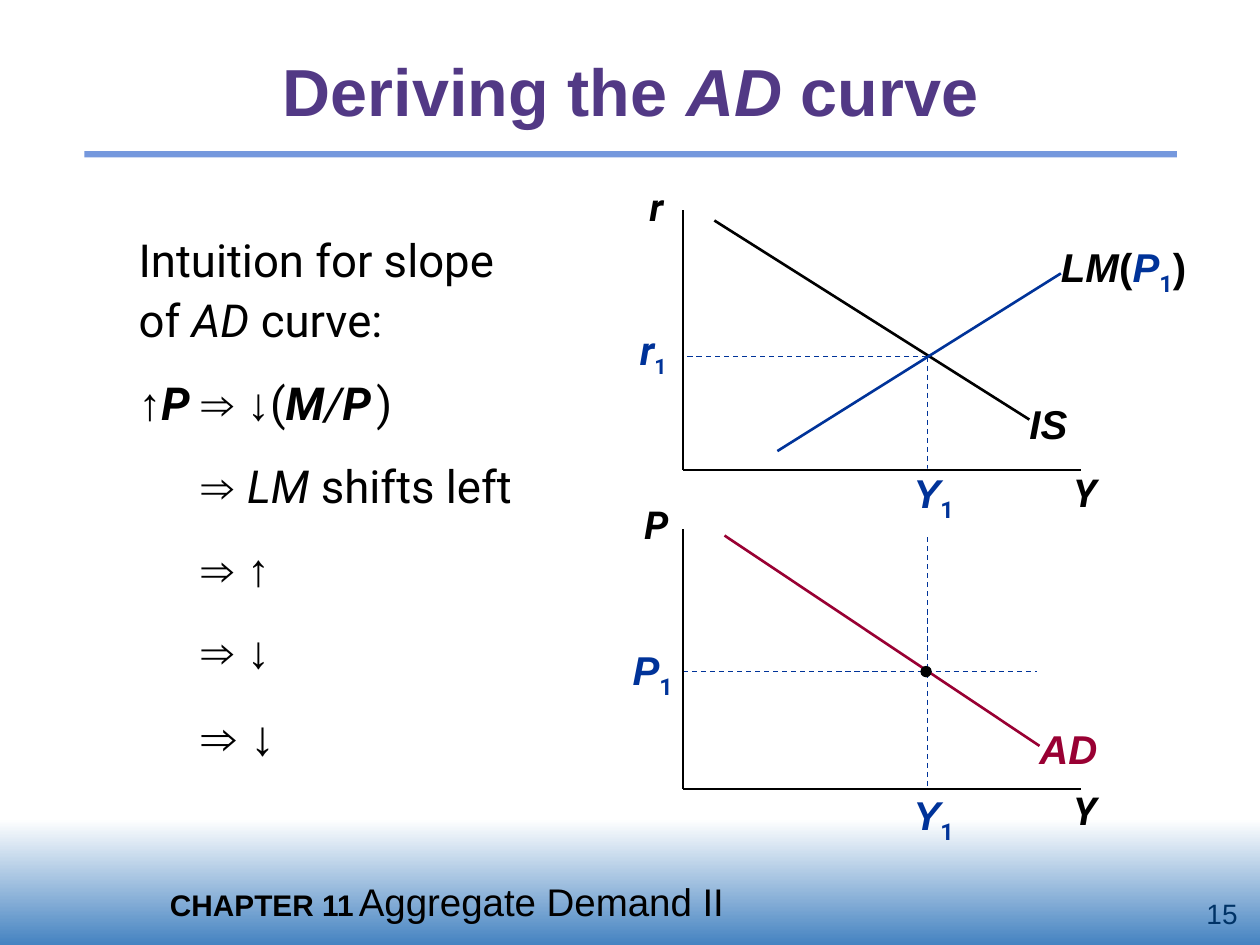
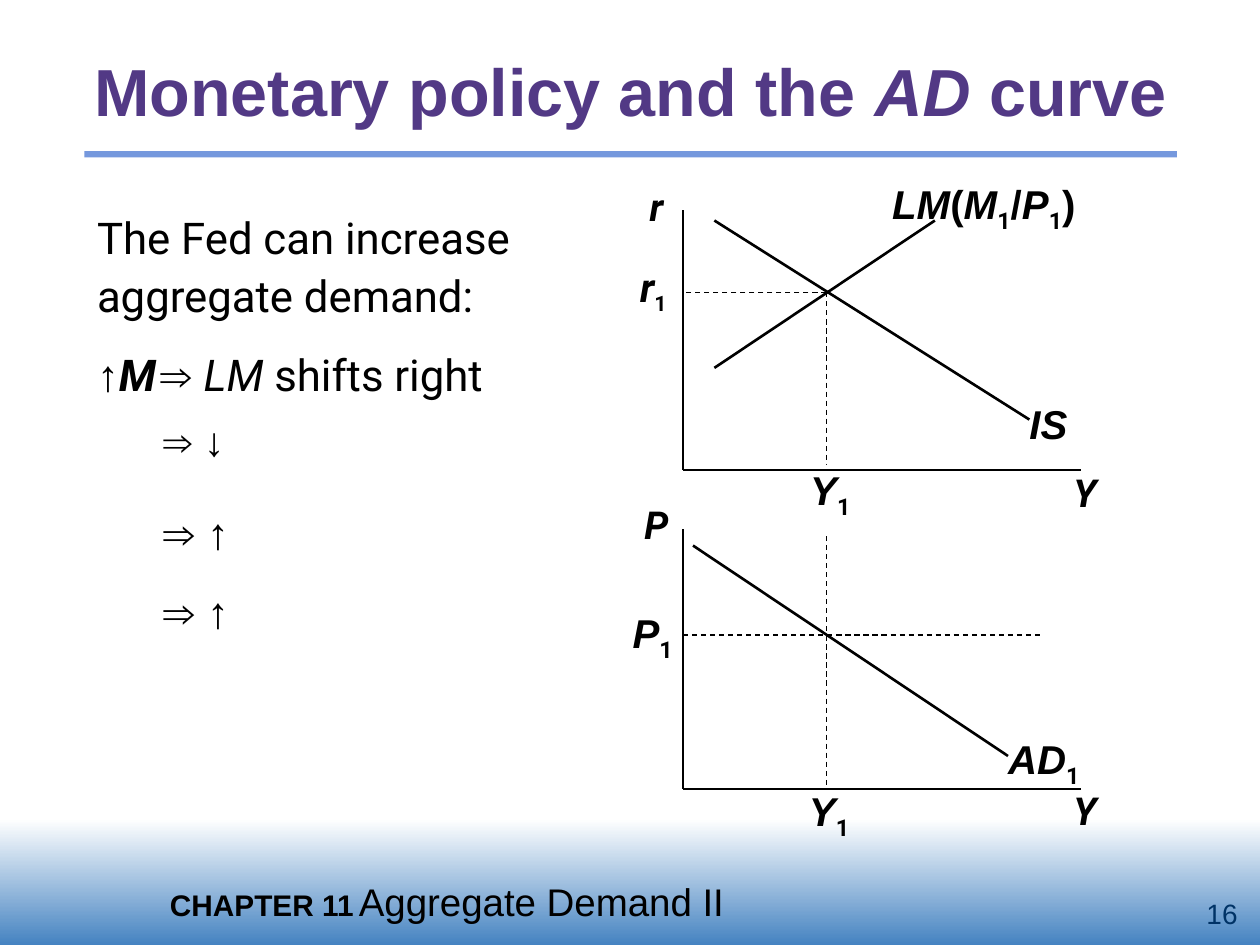
from lxml import etree
from pptx import Presentation
from pptx.dml.color import RGBColor
from pptx.enum.dml import MSO_LINE_DASH_STYLE as DASH
from pptx.enum.shapes import MSO_CONNECTOR as CONNECTOR, MSO_SHAPE as SHAPE
from pptx.enum.text import MSO_ANCHOR as ANCHOR, MSO_AUTO_SIZE as AUTO, PP_ALIGN as ALIGN
from pptx.oxml.ns import qn
from pptx.util import Inches, Pt

# Colours
BLACK = RGBColor(0x00, 0x00, 0x00)
WHITE = RGBColor(0xFF, 0xFF, 0xFF)
PURPLE = RGBColor(0x52, 0x39, 0x85)
RULE_BLUE = RGBColor(0x75, 0x98, 0xDD)
BAND_BLUE = RGBColor(0x45, 0x83, 0xC1)
BLUE = RGBColor(0x00, 0x33, 0x99)
NAVY = RGBColor(0x00, 0x33, 0x66)
CRIMSON = RGBColor(0x99, 0x00, 0x33)

# Base text formats
TITLE = dict(name="Arial", size=38, bold=True, color=PURPLE)
LABEL = dict(name="Arial", size=23, bold=True, italic=True, color=BLACK)
AXIS = dict(LABEL, name="Roboto", size=22)
BODY = dict(name="Roboto", size=26, bold=False, italic=False, color=BLACK)
FOOTER = dict(name="Arial", size=22, bold=False, color=BLACK)
NUMBER = dict(name="Arial", size=16, color=NAVY)

# Run formats that override the base
ARROW = dict(name="Arial")
IT = dict(italic=True)
BI = dict(bold=True, italic=True)
UP = dict(italic=False)
IN_BLUE = dict(color=BLUE)
SUB = dict(name="Roboto", italic=False, baseline="-25000")
BLUE_SUB = dict(SUB, color=BLUE)
INSET = (0.1, 0.05)


def write(sp, paras, base, inset=INSET, align=ALIGN.LEFT, anchor=ANCHOR.TOP,
          tab=None, spacing=None, before=0):
    """Fill a shape with paragraphs, each a list of (text, format) runs."""
    tf = sp.text_frame
    tf.word_wrap, tf.auto_size, tf.vertical_anchor = True, AUTO.NONE, anchor
    tf.margin_left = tf.margin_right = Inches(inset[0])
    tf.margin_top = tf.margin_bottom = Inches(inset[1])
    for i, runs in enumerate(paras):
        p = tf.add_paragraph() if i else tf.paragraphs[0]
        p.alignment, p.line_spacing = align, spacing
        p.space_before = Pt(before if i else 0)
        pPr = p._p.get_or_add_pPr()
        pPr.set("marL", "0")
        pPr.set("indent", "0")
        etree.SubElement(pPr, qn("a:buNone"))
        if tab:
            tabs = etree.SubElement(pPr, qn("a:tabLst"))
            etree.SubElement(tabs, qn("a:tab"), pos=str(Inches(tab)), algn="l")
        for text, fmt in runs:
            if text == "\n":
                p.add_line_break()
                continue
            r = p.add_run()
            r.text = text
            for key, value in {**base, **fmt}.items():
                if key == "color":
                    r.font.color.rgb = value
                elif key == "baseline":
                    r.font._element.set(key, value)
                else:
                    setattr(r.font, key, Pt(value) if key == "size" else value)


def add_line(s, x1, y1, x2, y2, color=BLACK, width=1.0, dash=None):
    ln = s.shapes.add_connector(CONNECTOR.STRAIGHT, *map(Inches, (x1, y1, x2, y2)))
    ln.line.color.rgb, ln.line.width = color, Pt(width)
    if dash:
        ln.line.dash_style = dash
    etree.SubElement(ln._element.spPr, qn("a:effectLst"))


# What each slide shows
SLIDES = [
    dict(
        number="15",
        title="Deriving the ",
        body=(1, 1.75, 3.58, 4.42), size=26, before=13, tab=0.69,
        paras=[
            [("Intuition for slope", {}), ("\n", {}), ("of ", {}), ("AD", IT), (" curve:", {})],
            [("↑", ARROW), ("P\t", BI), ("⇒ ↓", ARROW), ("(", {}), ("M", BI), ("/", IT),
             ("P", BI), (" ", dict(size=12)), (")", {})],
            [("\t", {}), ("⇒ ", ARROW), ("LM", IT), (" shifts left", {})],
            [("\t", {}), ("⇒ ↑", ARROW)],
            [("\t", {}), ("⇒ ↓", ARROW)],
            [("\t", dict(size=28)), ("⇒ ↓", dict(ARROW, size=28))],
        ],
        steps=[],
        guide=BLUE,
        guides=[(7.36, 2.83, 7.36, 6.26), (5.42, 5.33, 8.23, 5.33), (7.36, 2.83, 5.42, 2.83)],
        curves=[(5.67, 1.75, 8.17, 3.33, BLACK), (6.17, 3.58, 8.42, 2.17, BLUE),
                (5.75, 4.25, 8.25, 5.92, CRIMSON)],
        y1=(7.25, 3.72, 0.42, 0.54),
        labels=[
            ((8.42, 1.92, 1.08, 0.44), [("LM", {}), ("(", UP), ("P", IN_BLUE),
                                        ("1", BLUE_SUB), (")", UP)]),
            ((8.25, 5.75, 0.5, 0.38), [("AD", dict(color=CRIMSON))]),
            ((5.02, 5.12, 0.42, 0.54), [("P", IN_BLUE), ("1", BLUE_SUB)]),
            ((7.25, 6.27, 0.42, 0.44), [("Y", IN_BLUE), ("1", BLUE_SUB)]),
            ((5.08, 2.58, 0.42, 0.43), [("r", dict(IN_BLUE, name="Roboto")),
                                        ("1", dict(BLUE_SUB, size=21))]),
        ],
        dot=(7.31, 5.29, 0.08, 0.08),
    ),
    dict(
        number="16",
        title="Monetary policy and the ",
        body=(0.67, 1.58, 4.08, 4.75), size=25, before=12.5, tab=0.64,
        paras=[
            [("The Fed can increase aggregate demand:", {})],
            [("↑", ARROW), ("M\t", BI), ("⇒ ", ARROW), ("LM", IT), (" shifts right", {})],
        ],
        steps=[
            ((0.7, 3.25, 4.08, 0.5), 23.1, 1.0, ["⇒ ↓"]),
            ((0.7, 3.92, 4.08, 1.75), 25, 1.1, ["⇒ ↑", "⇒ ↑"]),
        ],
        guide=BLACK,
        guides=[(6.56, 2.32, 6.56, 6.26), (5.42, 5.04, 8.25, 5.04), (6.56, 2.32, 5.42, 2.32)],
        curves=[(5.67, 1.75, 8.17, 3.33, BLACK), (5.67, 2.92, 7.42, 1.75, BLACK),
                (5.5, 4.33, 8, 6, BLACK)],
        y1=(6.43, 3.69, 0.42, 0.54),
        labels=[
            ((7.08, 1.42, 1.83, 0.44), [("LM", {}), ("(", UP), ("M", {}), ("1", SUB),
                                        ("/", UP), ("P", {}), ("1", SUB), (")", UP)]),
            ((8, 5.83, 0.75, 0.54), [("AD", {}), ("1", SUB)]),
            ((5.02, 4.83, 0.42, 0.54), [("P", {}), ("1", SUB)]),
            ((6.42, 6.24, 0.42, 0.44), [("Y", {}), ("1", SUB)]),
            ((5.08, 2.08, 0.42, 0.43), [("r", dict(name="Roboto")), ("1", dict(SUB, size=21))]),
        ],
        dot=None,
    ),
]

prs = Presentation()
prs.slide_width, prs.slide_height = Inches(10), Inches(7.5)

for d in SLIDES:
    s = prs.slides.add_slide(prs.slide_layouts[1])
    title, body = s.placeholders[0], s.placeholders[1]

    # Band, title rule and footer
    band = s.shapes.add_shape(SHAPE.RECTANGLE, *map(Inches, (0, 6.5, 10, 1)))
    band.fill.gradient()
    band.fill.gradient_angle = 270
    for stop, position, color in zip(band.fill.gradient_stops, (0, 1), (WHITE, BAND_BLUE)):
        stop.position, stop.color.rgb = position, color
    rule = s.shapes.add_shape(SHAPE.RECTANGLE, *map(Inches, (0.67, 1.2, 8.67, 0.05)))
    rule.fill.solid()
    rule.fill.fore_color.rgb = RULE_BLUE
    for sp in (band, rule):
        sp.line.fill.background()
        sp.shadow.inherit = False
    footer = s.shapes.add_textbox(*map(Inches, (1.25, 6.92, 8.33, 0.47)))
    write(footer, [[("CHAPTER 11", dict(size=17, bold=True)), ("\tAggregate Demand II", {})]],
          FOOTER, tab=1.78)
    number = s.shapes.add_textbox(*map(Inches, (8.67, 7.08, 1.25, 0.33)))
    write(number, [[(d["number"], {})]], NUMBER, align=ALIGN.RIGHT, anchor=ANCHOR.MIDDLE)

    # Title and reasoning on the left
    for sp, box in ((title, (0.42, 0.25, 9.17, 0.92)), (body, d["body"])):
        sp.left, sp.top, sp.width, sp.height = map(Inches, box)
    write(title, [[(d["title"], {}), ("AD", IT), (" curve", {})]], TITLE,
          align=ALIGN.CENTER, anchor=ANCHOR.MIDDLE)
    write(body, d["paras"], dict(BODY, size=d["size"]), tab=d["tab"],
          spacing=1.1, before=d["before"])
    for box, size, spacing, arrows in d["steps"]:
        tb = s.shapes.add_textbox(*map(Inches, box))
        write(tb, [[("\t", {}), (a, ARROW)] for a in arrows], dict(BODY, size=size),
              tab=0.69, spacing=spacing, before=d["before"])

    # Dashed guides, interrupted by the Y1 label between the two graphs
    for guide in d["guides"]:
        add_line(s, *guide, d["guide"], 0.75, DASH.DASH)
    y1 = s.shapes.add_textbox(*map(Inches, d["y1"]))
    y1.fill.solid()
    y1.fill.fore_color.rgb = WHITE
    tint = dict(color=d["guide"])
    write(y1, [[("Y", tint), ("1", {**SUB, **tint})]], LABEL, inset=(0, 0))

    # Axes of both graphs
    for name, top in (("r", 1.67), ("P", 4.2)):
        base = top + 2.06
        add_line(s, 5.42, top, 5.42, base)
        add_line(s, 5.42, base, 8.58, base)
        for text, box, align in ((name, (5, top - 0.27, 0.42, 0.47), ALIGN.CENTER),
                                 ("Y", (8.42, base - 0.06, 0.58, 0.47), ALIGN.LEFT)):
            tb = s.shapes.add_textbox(*map(Inches, box))
            write(tb, [[(text, {})]], AXIS, align=align)

    # Curves and their labels
    for curve in d["curves"]:
        add_line(s, *curve, 1.5)
    for box, runs in [((8.17, 3.17, 0.33, 0.38), [("IS", {})])] + d["labels"]:
        tb = s.shapes.add_textbox(*map(Inches, box))
        write(tb, [runs], LABEL, inset=(0, 0))
    if d["dot"]:
        dot = s.shapes.add_shape(SHAPE.OVAL, *map(Inches, d["dot"]))
        dot.fill.solid()
        dot.fill.fore_color.rgb = dot.line.color.rgb = BLACK
        dot.line.width = Pt(0.75)
        dot.shadow.inherit = False

prs.save("out.pptx")
